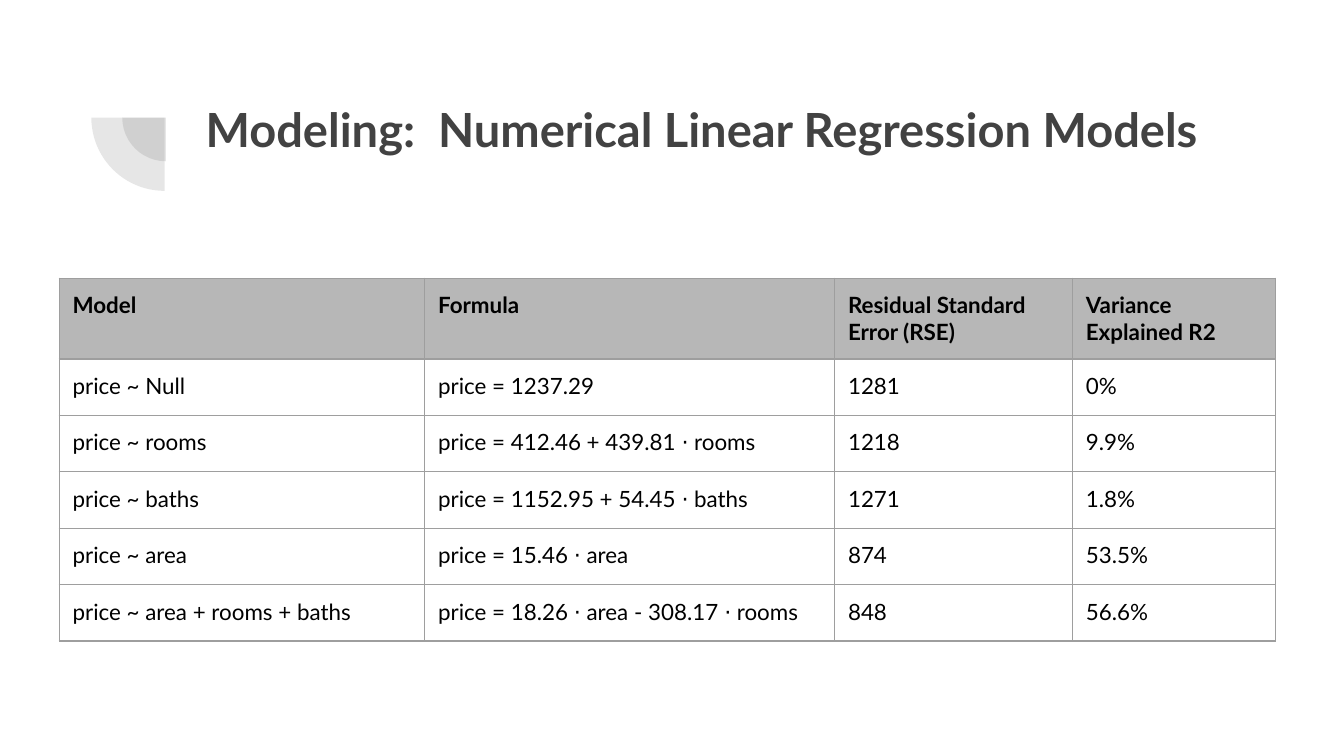
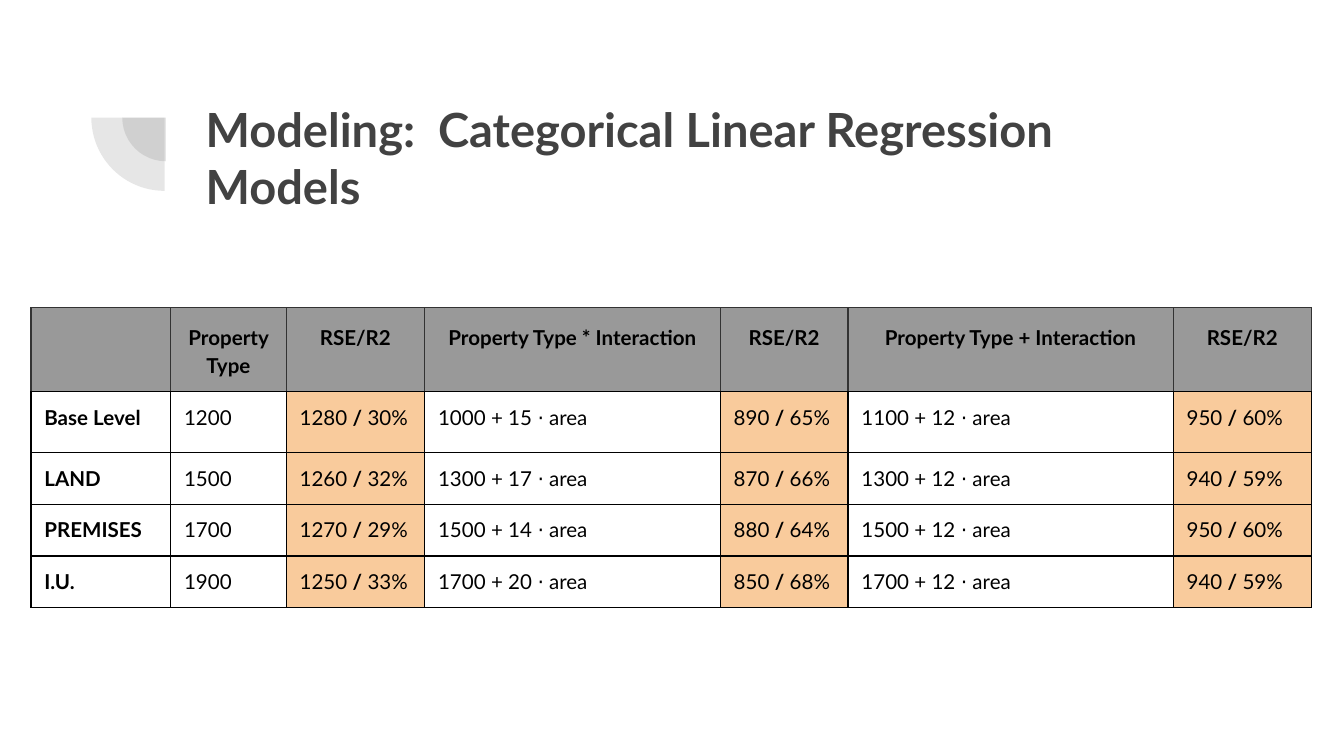
from pptx import Presentation
from pptx import util as u
from pptx.dml.color import RGBColor
from pptx.enum import shapes, text
from pptx.oxml import parse_xml
from pptx.oxml.ns import nsdecls

SLIDE_WIDTH = 10
SLIDE_HEIGHT = SLIDE_WIDTH * 9 / 16
FONT = "Lato"
CHARCOAL = RGBColor(0x42, 0x42, 0x42)
BLACK = RGBColor(0x00, 0x00, 0x00)
DARK_LINE = RGBColor(0x33, 0x33, 0x33)
GRAY_LINE = RGBColor(0x9E, 0x9E, 0x9E)
LIGHT_HEADER = RGBColor(0xB7, 0xB7, 0xB7)
MID_HEADER = RGBColor(0x99, 0x99, 0x99)
PEACH = RGBColor(0xF9, 0xCB, 0x9C)

NUMERICAL = [
    ["Model", "Formula", "Residual Standard Error (RSE)", "Variance Explained R2"],
    ["price ~ Null", "price = 1237.29", "1281", "0%"],
    ["price ~ rooms", "price = 412.46 + 439.81 ⋅ rooms", "1218", "9.9%"],
    ["price ~ baths", "price = 1152.95 + 54.45 ⋅ baths", "1271", "1.8%"],
    ["price ~ area", "price = 15.46 ⋅ area", "874", "53.5%"],
    ["price ~ area + rooms + baths", "price = 18.26 ⋅ area - 308.17 ⋅ rooms", "848", "56.6%"],
]
CATEGORICAL = [
    ["", "Property Type", "RSE/R2", "Property Type * Interaction", "RSE/R2",
     "Property Type + Interaction", "RSE/R2"],
    ["Base Level", "1200", "1280 / 30%", "1000 + 15 ⋅ area", "890 / 65%",
     "1100 + 12 ⋅ area", "950 / 60%"],
    ["LAND", "1500", "1260 / 32%", "1300 + 17 ⋅ area", "870 / 66%",
     "1300 + 12 ⋅ area", "940 / 59%"],
    ["PREMISES", "1700", "1270 / 29%", "1500 + 14 ⋅ area", "880 / 64%",
     "1500 + 12 ⋅ area", "950 / 60%"],
    ["I.U.", "1900", "1250 / 33%", "1700 + 20 ⋅ area", "850 / 68%",
     "1700 + 12 ⋅ area", "940 / 59%"],
]


def set_font(font, size, color, bold):
    font.name, font.size, font.bold = FONT, u.Pt(size), bold
    font.color.rgb = color


def set_margins(obj):
    obj.margin_left = obj.margin_right = u.Inches(0.1)
    obj.margin_top = obj.margin_bottom = u.Inches(0.1)


def add_quarter_disc(slide, left, top, size):
    """Add a translucent quarter of a disc; left, top and size are those of the full circle."""
    sp = slide.shapes.add_shape(shapes.MSO_SHAPE.PIE, u.Inches(left), u.Inches(top),
                                u.Inches(size), u.Inches(size))
    sp.adjustments[0], sp.adjustments[1] = 108, 162  # 180 and 270 degrees
    sp.rotation = 270
    sp.shadow.inherit = False
    sp.line.fill.background()
    sp.fill.solid()
    sp.fill.fore_color.rgb = CHARCOAL
    color = sp.fill._xPr.solidFill[0]
    color.append(parse_xml(f'<a:alpha {nsdecls("a")} val="13000"/>'))


def add_titled_slide(prs, title):
    slide = prs.slides.add_slide(prs.slide_layouts[5])
    add_quarter_disc(slide, 0.91, 0.55, 0.65)
    add_quarter_disc(slide, 0.68, 0.33, 1.09)
    sp = slide.shapes.title
    sp.left, sp.top = u.Inches(1.43), u.Inches(0.65)
    sp.width, sp.height = u.Inches(7.69), u.Inches(1.09)
    tf = sp.text_frame
    tf.text = title
    tf.word_wrap = True
    tf.auto_size = text.MSO_AUTO_SIZE.NONE
    tf.vertical_anchor = text.MSO_ANCHOR.TOP
    set_margins(tf)
    p = tf.paragraphs[0]
    p.alignment = text.PP_ALIGN.LEFT
    set_font(p.font, 25.2, CHARCOAL, True)
    return slide


def set_borders(cell, color, bottom):
    tc_pr = cell._tc.get_or_add_tcPr()
    for side in "LRTB":
        line = bottom if side == "B" else color
        tc_pr.append(parse_xml(
            f'<a:ln{side} {nsdecls("a")} w="{u.Pt(0.75)}"><a:solidFill>'
            f'<a:srgbClr val="{line}"/></a:solidFill></a:ln{side}>'))


def fill_cell(cell, color):
    if color is None:
        cell.fill.background()
    else:
        cell.fill.solid()
        cell.fill.fore_color.rgb = color


def write_cell(cell, value, size, bold):
    """Write the value; in a regular cell a slash is set in bold."""
    set_margins(cell)
    p = cell.text_frame.paragraphs[0]
    set_font(p.font, size, BLACK, bold)
    for part in value.partition("/") if not bold else [value]:
        if part:
            r = p.add_run()
            r.text = part
            set_font(r.font, size, BLACK, bold or part == "/")
    return p


def add_grid(slide, left, top, widths, heights, rows, size, header_fill, line,
             header_line, centered_header=False, bold_columns=(), fills=None):
    """Add a table; fills maps a column to the fill of its body cells."""
    table = slide.shapes.add_table(
        len(rows), len(widths), u.Inches(left), u.Inches(top),
        u.Inches(sum(widths)), u.Inches(sum(heights))).table
    table.first_row = table.horz_banding = False
    for column, width in zip(table.columns, widths):
        column.width = u.Inches(width)
    for row, height in zip(table.rows, heights):
        row.height = u.Inches(height)
    for i, values in enumerate(rows):
        header = i == 0
        for j, value in enumerate(values):
            cell = table.cell(i, j)
            set_borders(cell, header_line if header else line, line)
            fill_cell(cell, header_fill if header else (fills or {}).get(j))
            p = write_cell(cell, value, size, header or j in bold_columns)
            if header and centered_header:
                p.alignment = text.PP_ALIGN.CENTER
                p.line_spacing = 1.15


def main():
    prs = Presentation()
    prs.slide_width, prs.slide_height = u.Inches(SLIDE_WIDTH), u.Inches(SLIDE_HEIGHT)

    slide = add_titled_slide(prs, "Modeling:  Numerical Linear Regression Models")
    add_grid(slide, 0.44, 2.07, [2.72, 3.05, 1.77, 1.51], [0.42] * 6, NUMERICAL, 12,
             LIGHT_HEADER, GRAY_LINE, GRAY_LINE)

    slide = add_titled_slide(prs, "Modeling:  Categorical Linear Regression Models")
    add_grid(slide, 0.23, 2.29, [1.04, 0.86, 1.03, 2.2, 0.95, 2.42, 1.03],
             [0.51, 0.45] + [0.32] * 3, CATEGORICAL, 11, MID_HEADER, BLACK, DARK_LINE,
             centered_header=True, bold_columns=(0,), fills=dict.fromkeys((2, 4, 6), PEACH))

    prs.save("out.pptx")


if __name__ == "__main__":
    main()
